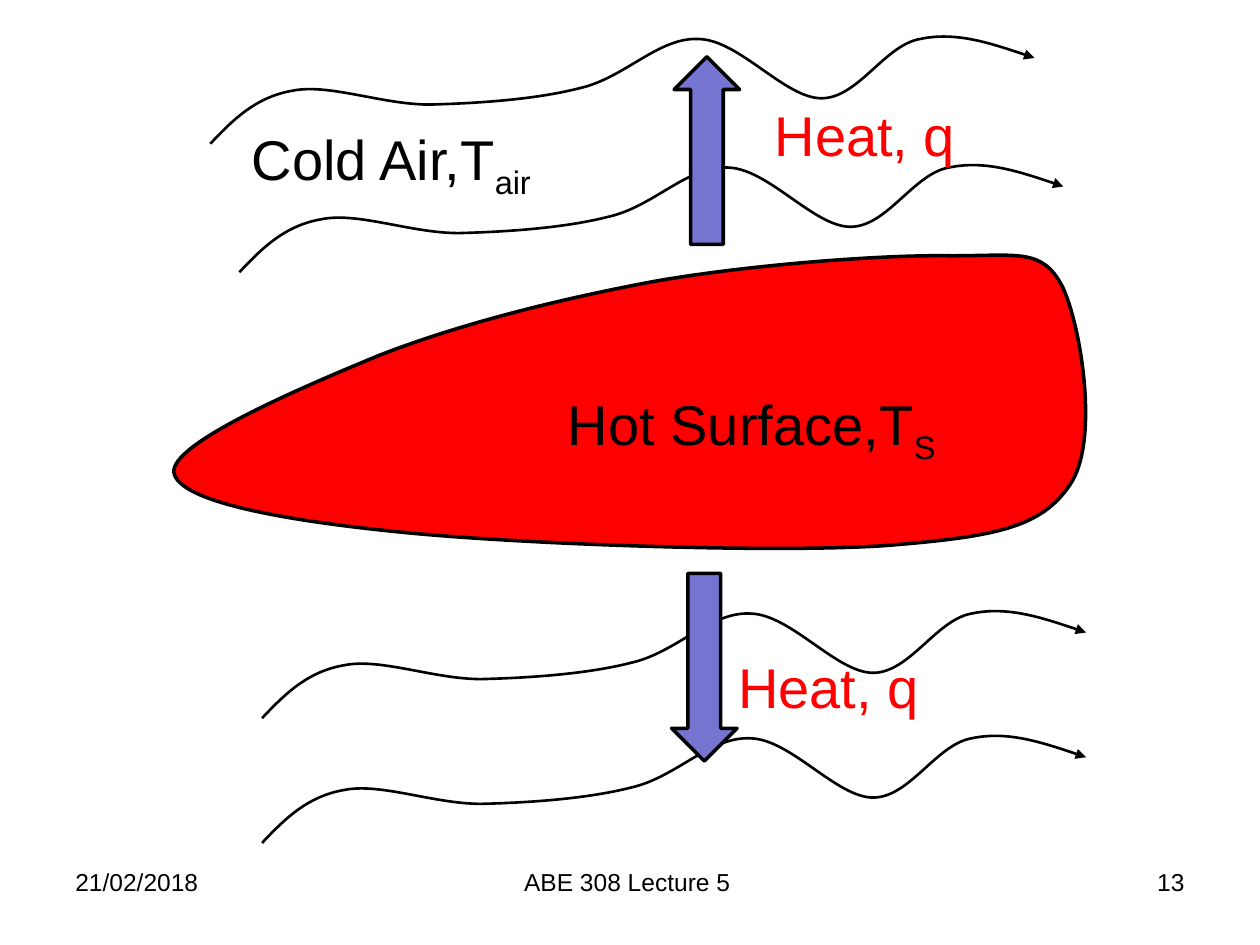
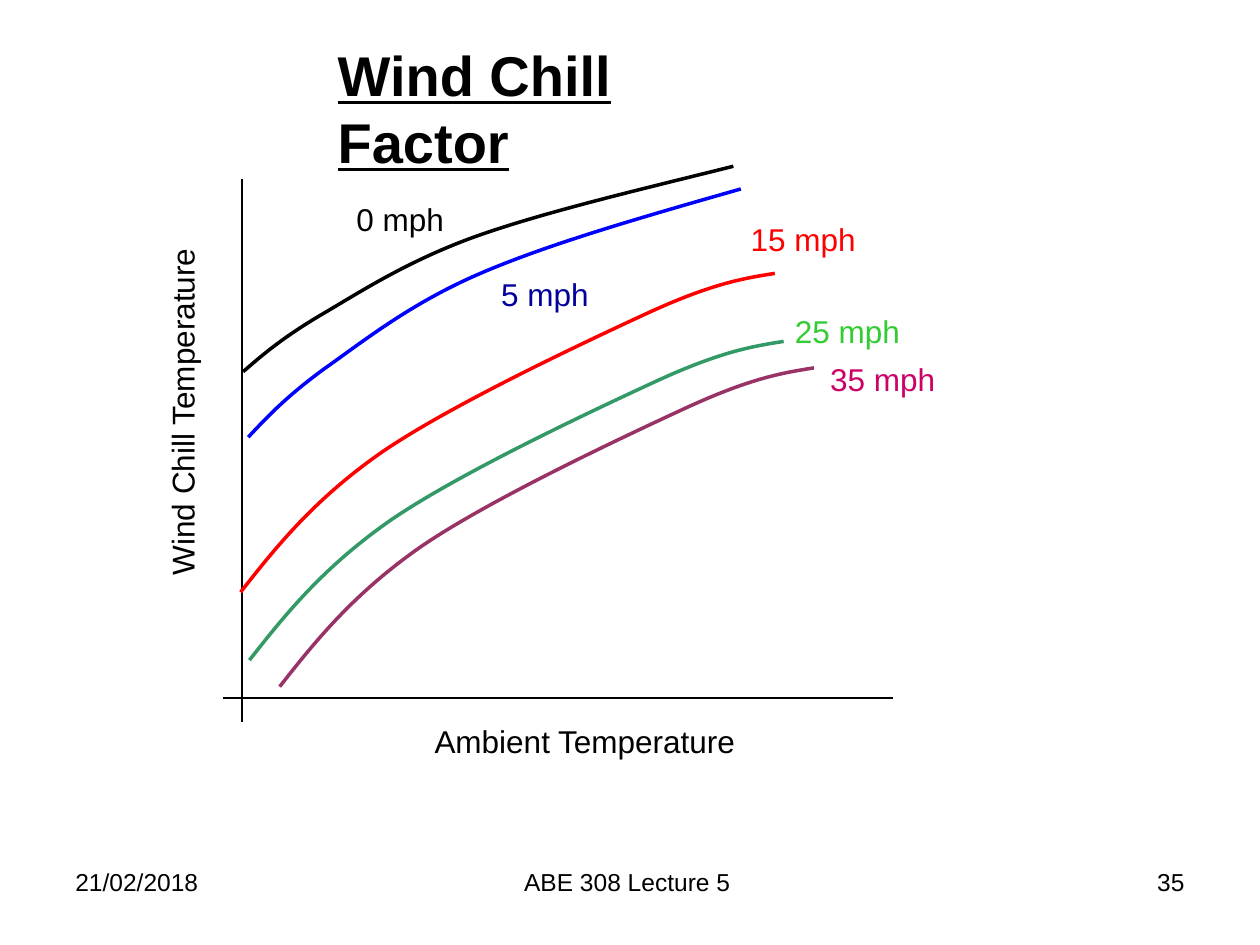
from pptx import Presentation
from pptx.dml.color import RGBColor
from pptx.enum.shapes import MSO_CONNECTOR, MSO_SHAPE
from pptx.enum.text import MSO_ANCHOR, MSO_AUTO_SIZE, PP_ALIGN
from pptx.oxml.ns import qn
from pptx.util import Inches, Pt
from lxml.etree import SubElement

FONT = "Arial"
HUES = {
    "black": "000000", "red": "FF0000", "heat": "7575D1",
    "blue": "0000FF", "navy": "000099", "green": "339966",
    "lime": "33CC33", "plum": "993366", "pink": "CC0066",
}


def write(frame, text, size=18, hue="black", sub="", bold=False, line=False,
          align=PP_ALIGN.LEFT, wrap=False):
    """Fill a text frame; sub is set as a subscript after the text."""
    frame.word_wrap = wrap
    frame.auto_size = MSO_AUTO_SIZE.NONE if wrap else MSO_AUTO_SIZE.SHAPE_TO_FIT_TEXT
    frame.vertical_anchor = MSO_ANCHOR.TOP
    para = frame.paragraphs[0]
    para.alignment = align
    for part in filter(None, (text, sub)):
        run = para.add_run()
        run.text = part
        font = run.font
        font.name, font.size = FONT, Pt(size)
        font.bold, font.underline = bold, line
        font.color.rgb = RGBColor.from_string(HUES[hue])
        if part == sub:
            run._r.get_or_add_rPr().set("baseline", "-25000")


def curve(slide, left, top, knots, hue="black", width=2, fill=None, head=False):
    """Draw a chain of cubic Bezier arcs, moved by left and top."""
    dots = [(Inches(left + x), Inches(top + y)) for x, y in knots]
    pen = slide.shapes.build_freeform(*dots[0])
    pen.add_line_segments(dots[1:], close=bool(fill))
    shape = pen.convert_to_shape()
    # Each three line ends become one cubic arc
    lines = list(shape._element.iter(qn("a:lnTo")))
    for i in range(0, len(lines), 3):
        arc = lines[i]
        arc.tag = qn("a:cubicBezTo")
        for line in lines[i + 1:i + 3]:
            arc.append(line[0])
            line.getparent().remove(line)
    shape.shadow.inherit = False
    if fill:
        shape.fill.solid()
        shape.fill.fore_color.rgb = RGBColor.from_string(HUES[fill])
    else:
        shape.fill.background()
    shape.line.width = Pt(width)
    shape.line.color.rgb = RGBColor.from_string(HUES[hue])
    if head:
        SubElement(shape.line._get_or_add_ln(), qn("a:tailEnd"), type="triangle")


deck = Presentation()
deck.slide_width, deck.slide_height = Inches(10), Inches(7.5)
flow = deck.slides.add_slide(deck.slide_layouts[6])
chill = deck.slides.add_slide(deck.slide_layouts[5])

# Footers on both slides
for slide, page in ((flow, "13"), (chill, "35")):
    for left, width, text, align in (
        (0.5, 2.33, "21/02/2018", PP_ALIGN.LEFT),
        (3.42, 3.17, "ABE 308 Lecture 5 ", PP_ALIGN.CENTER),
        (7.17, 2.33, page, PP_ALIGN.RIGHT),
    ):
        box = slide.shapes.add_textbox(Inches(left), Inches(6.83),
                                       Inches(width), Inches(0.52))
        write(box.text_frame, text, size=14, align=align, wrap=True)

# Slide 1: hot body
body = [
    (1.38, 3.75), (1.35, 3.52), (2.38, 3.08), (3.01, 2.82),
    (3.65, 2.57), (4.45, 2.37), (5.21, 2.23),
    (5.96, 2.1), (7.01, 2.02), (7.55, 2.03),
    (8.09, 2.03), (8.27, 1.97), (8.43, 2.27),
    (8.58, 2.58), (8.73, 3.51), (8.49, 3.85),
    (8.26, 4.19), (7.9, 4.26), (7.03, 4.33),
    (6.15, 4.39), (4.19, 4.32), (3.25, 4.23),
    (2.31, 4.14), (1.42, 3.99), (1.38, 3.75),
]
curve(flow, 0, 0, body, fill="red")

# Slide 1: streams of air, all one wave
wave = [
    (0, 0), (0.18, -0.19), (0.36, -0.37), (0.65, -0.42),
    (0.94, -0.48), (1.36, -0.31), (1.74, -0.31),
    (2.12, -0.32), (2.58, -0.35), (2.93, -0.44),
    (3.29, -0.52), (3.56, -0.85), (3.88, -0.83),
    (4.2, -0.82), (4.56, -0.36), (4.85, -0.36),
    (5.14, -0.36), (5.35, -0.78), (5.63, -0.83),
    (5.91, -0.89), (6.22, -0.79), (6.54, -0.68),
]
for left, top in ((1.9, 2.16), (1.67, 1.14), (2.08, 5.7), (2.08, 6.69)):
    curve(flow, left, top, wave, width=1.5, head=True)

# Slide 1: heat arrows
for left, top, turn in ((5.33, 4.55, 0), (5.35, 0.45, 180)):
    arrow = flow.shapes.add_shape(MSO_SHAPE.DOWN_ARROW, Inches(left), Inches(top),
                                  Inches(0.52), Inches(1.49))
    arrow.rotation = turn
    arrow.shadow.inherit = False
    arrow.fill.solid()
    arrow.fill.fore_color.rgb = RGBColor.from_string(HUES["heat"])
    arrow.line.width = Pt(2)
    arrow.line.color.rgb = RGBColor.from_string(HUES["black"])

# Slide 1: labels
for left, top, width, text, sub, hue in (
    (1.9, 0.94, 2.43, "Cold Air,T", "air", "black"),
    (4.41, 3.04, 3.17, "Hot Surface,T", "S", "black"),
    (6.05, 0.75, 1.65, "Heat, q", "", "red"),
    (5.76, 5.13, 1.65, "Heat, q", "", "red"),
):
    box = flow.shapes.add_textbox(Inches(left), Inches(top),
                                  Inches(width), Inches(0.64))
    write(box.text_frame, text, size=32, hue=hue, sub=sub)

# Slide 2: title
title = chill.shapes.title
title.left, title.top = Inches(2.58), Inches(0.27)
title.width, title.height = Inches(3.85), Inches(0.63)
title.text_frame.margin_right = Inches(0.3)
write(title.text_frame, "Wind Chill Factor", size=32, bold=True, line=True, wrap=True)

# Slide 2: axes
for x1, y1, x2, y2 in ((1.92, 5.73, 1.92, 1.42), (1.77, 5.54, 7.09, 5.54)):
    axis = chill.shapes.add_connector(MSO_CONNECTOR.STRAIGHT, Inches(x1), Inches(y1),
                                      Inches(x2), Inches(y2))
    axis.line.width = Pt(0.75)
    axis.line.color.rgb = RGBColor.from_string(HUES["black"])
    SubElement(axis._element.spPr, qn("a:effectLst"))

# Slide 2: wind speed curves; the three fastest share one form
calm = [(0, 0), (0.15, -0.13), (0.3, -0.26), (0.6, -0.44),
        (0.91, -0.62), (1.27, -0.86), (1.81, -1.06),
        (2.36, -1.26), (3.13, -1.44), (3.89, -1.63)]
light = [(0, 0), (0.15, -0.16), (0.3, -0.32), (0.6, -0.54),
         (0.9, -0.75), (1.27, -1.05), (1.82, -1.29),
         (2.37, -1.53), (3.14, -1.75), (3.91, -1.97)]
strong = [(0, 0), (0.29, -0.37), (0.59, -0.74), (1.12, -1.11),
          (1.66, -1.48), (2.7, -1.97), (3.22, -2.21),
          (3.74, -2.45), (3.99, -2.49), (4.24, -2.53)]
for left, top, knots, hue in (
    (1.93, 2.95, calm, "black"),
    (1.97, 3.47, light, "blue"),
    (1.91, 4.7, strong, "red"),
    (1.98, 5.24, strong, "green"),
    (2.22, 5.45, strong, "plum"),
):
    curve(chill, left, top, knots, hue=hue)

# Slide 2: labels of axes and curves
for left, top, width, text, hue, turn in (
    (3.35, 5.68, 2.62, "Ambient Temperature", "black", 0),
    (0.03, 3.05, 2.83, "Wind Chill Temperature", "black", 270),
    (2.73, 1.54, 0.9, "0 mph", "black", 0),
    (3.88, 2.13, 0.9, "5 mph", "navy", 0),
    (5.86, 1.7, 1.06, "15 mph", "red", 0),
    (6.21, 2.43, 1.06, "25 mph", "lime", 0),
    (6.49, 2.81, 1.06, "35 mph", "pink", 0),
):
    box = chill.shapes.add_textbox(Inches(left), Inches(top),
                                   Inches(width), Inches(0.4))
    box.rotation = turn
    write(box.text_frame, text, hue=hue)

deck.save("out.pptx")
